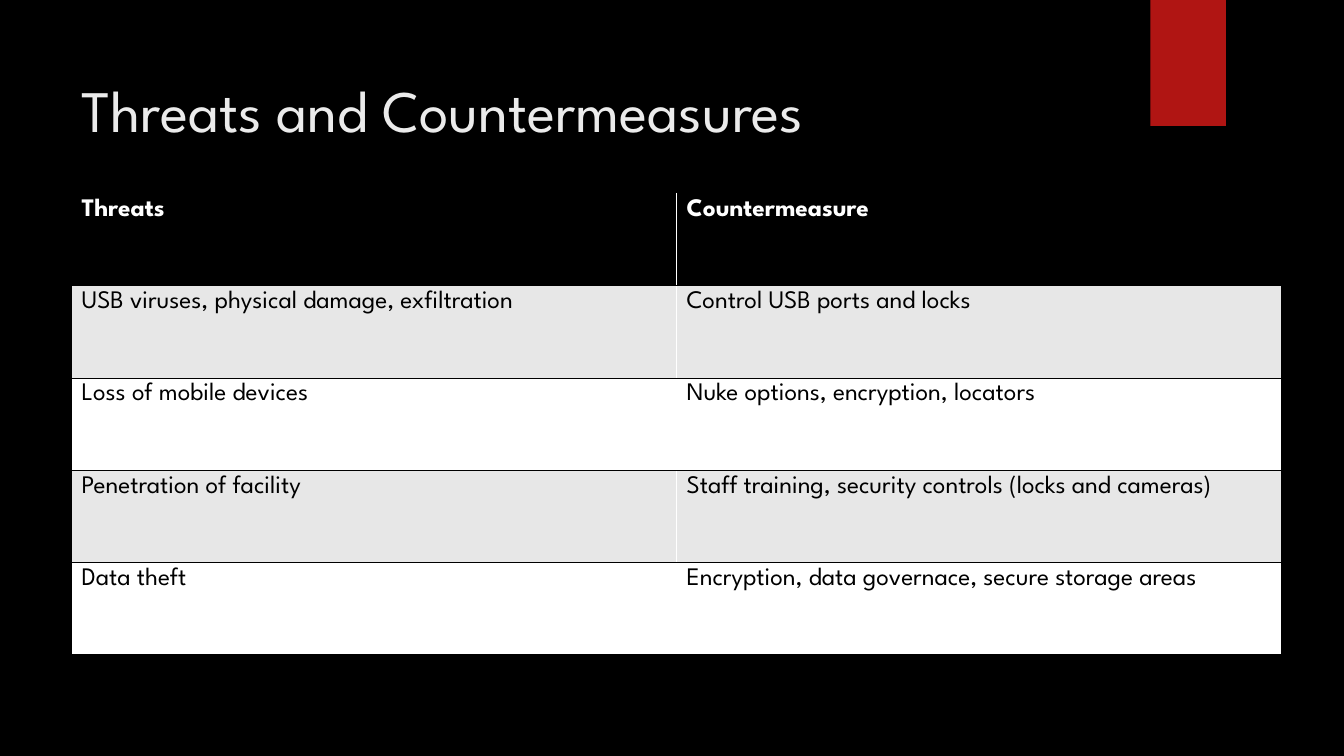
"""Builds a slide that pairs security threats with their countermeasures."""
from dataclasses import dataclass

import lxml.etree
import pptx
import pptx.dml.color
import pptx.enum.shapes
import pptx.enum.text
import pptx.oxml.ns
import pptx.util

SLIDE_WIDTH = pptx.util.Inches(13.33)
SLIDE_HEIGHT = pptx.util.Inches(7.5)
FONT = "League Spartan"
BLACK, WHITE, GREY = "000000", "FFFFFF", "E7E7E7"
TITLE_COLOR, RIBBON_COLOR = "EBEBEB", "B01513"
LEFT_MARGIN = 0.71 / 13.33


@dataclass(frozen=True)
class Area:
    left: float
    top: float
    width: float
    height: float

    def lengths(self) -> tuple[int, int, int, int]:
        return (round(self.left * SLIDE_WIDTH), round(self.top * SLIDE_HEIGHT),
                round(self.width * SLIDE_WIDTH), round(self.height * SLIDE_HEIGHT))


@dataclass(frozen=True)
class Pairing:
    threat: str
    countermeasure: str
    fill: str
    color: str = BLACK
    bold: bool = False


TITLE_AREA = Area(LEFT_MARGIN, 0.5 / 7.5, 10.29 / 13.33, 1.53 / 7.5)
RIBBON_AREA = Area(11.41 / 13.33, 0, 0.75 / 13.33, 1.25 / 7.5)
TABLE_AREA = Area(LEFT_MARGIN, 1.92 / 7.5, 12 / 13.33, 4.58 / 7.5)

PAIRINGS = [
    Pairing("Threats", "Countermeasure", BLACK, WHITE, True),
    Pairing("USB viruses, physical damage, exfiltration", "Control USB ports and locks", GREY),
    Pairing("Loss of mobile devices", "Nuke options, encryption, locators", WHITE),
    Pairing("Penetration of facility", "Staff training, security controls (locks and cameras)", GREY),
    Pairing("Data theft", "Encryption, data governace, secure storage areas", WHITE),
]


def rgb(value: str) -> pptx.dml.color.RGBColor:
    return pptx.dml.color.RGBColor.from_string(value)


def paint(target, color: str) -> None:
    target.fill.solid()
    target.fill.fore_color.rgb = rgb(color)


def write(frame, text: str, *, size: float, color: str, bold: bool = False) -> None:
    frame.word_wrap = True
    paragraph = frame.paragraphs[0]
    paragraph.alignment = pptx.enum.text.PP_ALIGN.LEFT
    run = paragraph.add_run()
    run.text = text
    run.font.name = FONT
    run.font.size = pptx.util.Pt(size)
    run.font.bold = bold
    run.font.color.rgb = rgb(color)


def add_borders(cell, sides: list[str], color: str) -> None:
    properties = cell._tc.get_or_add_tcPr()
    for position, side in enumerate(sides):
        line = lxml.etree.Element(pptx.oxml.ns.qn(f"a:{side}"), w=str(pptx.util.Pt(1)))
        solid = lxml.etree.SubElement(line, pptx.oxml.ns.qn("a:solidFill"))
        lxml.etree.SubElement(solid, pptx.oxml.ns.qn("a:srgbClr"), val=color)
        properties.insert(position, line)


def add_ribbon(slide) -> None:
    ribbon = slide.shapes.add_shape(
        pptx.enum.shapes.MSO_SHAPE.RECTANGLE, *RIBBON_AREA.lengths())
    ribbon.shadow.inherit = False
    paint(ribbon, RIBBON_COLOR)
    ribbon.line.fill.background()


def add_title(slide) -> None:
    frame = slide.shapes.add_textbox(*TITLE_AREA.lengths()).text_frame
    frame.vertical_anchor = pptx.enum.text.MSO_ANCHOR.TOP
    frame.margin_top = pptx.util.Inches(0.23)
    write(frame, "Threats and Countermeasures", size=42, color=TITLE_COLOR)


def add_pairings(slide) -> None:
    table = slide.shapes.add_table(len(PAIRINGS), 2, *TABLE_AREA.lengths()).table
    for row, pairing in enumerate(PAIRINGS):
        for column, text in enumerate((pairing.threat, pairing.countermeasure)):
            cell = table.cell(row, column)
            paint(cell, pairing.fill)
            outer_side = "lnR" if column else "lnL"
            add_borders(cell, [outer_side, "lnT", "lnB"], BLACK)
            write(cell.text_frame, text, size=18, color=pairing.color, bold=pairing.bold)


def main() -> None:
    deck = pptx.Presentation()
    deck.slide_width, deck.slide_height = SLIDE_WIDTH, SLIDE_HEIGHT
    slide = deck.slides.add_slide(deck.slide_layouts[6])
    paint(slide.background, BLACK)
    add_ribbon(slide)
    add_title(slide)
    add_pairings(slide)
    deck.save("out.pptx")


if __name__ == "__main__":
    main()
